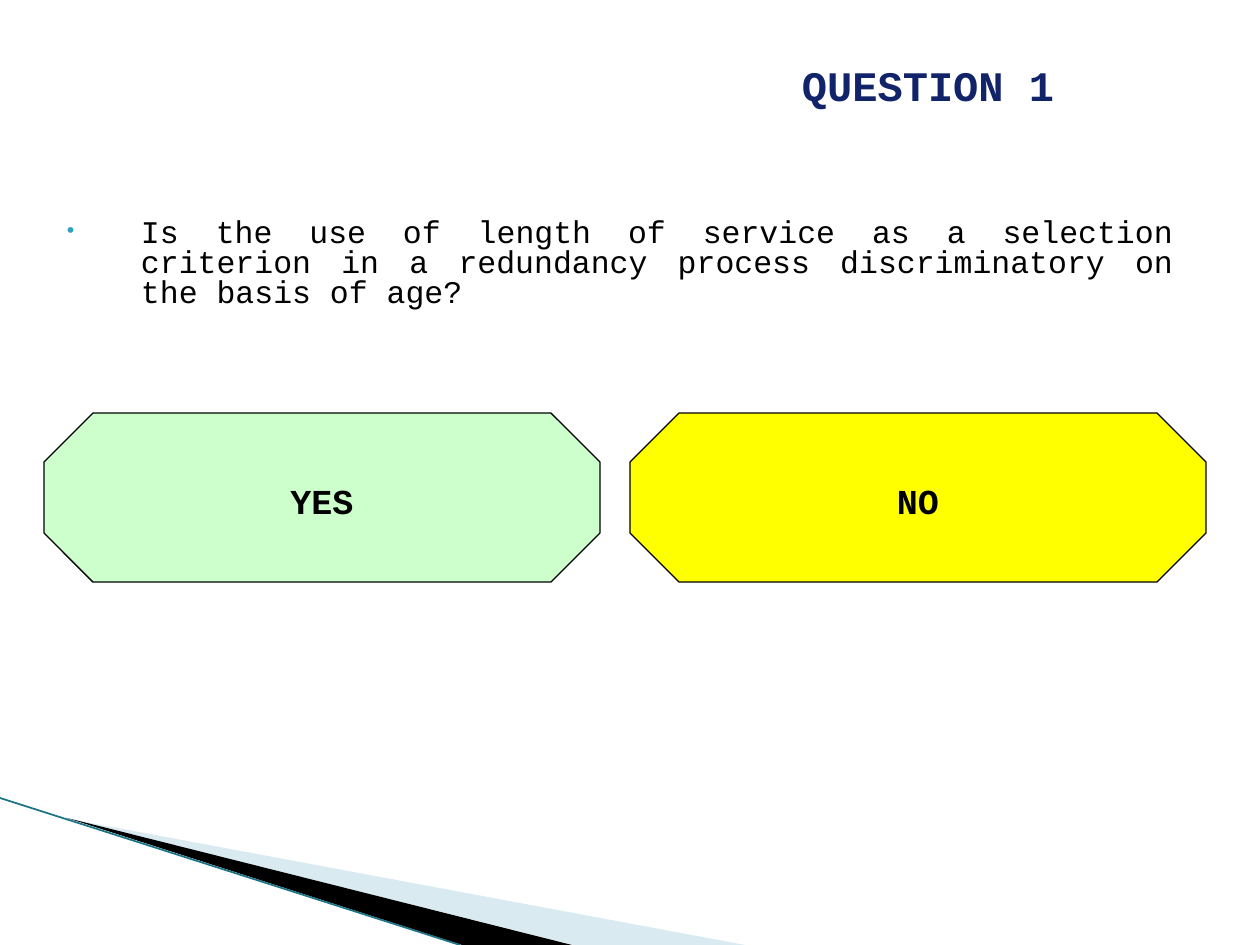
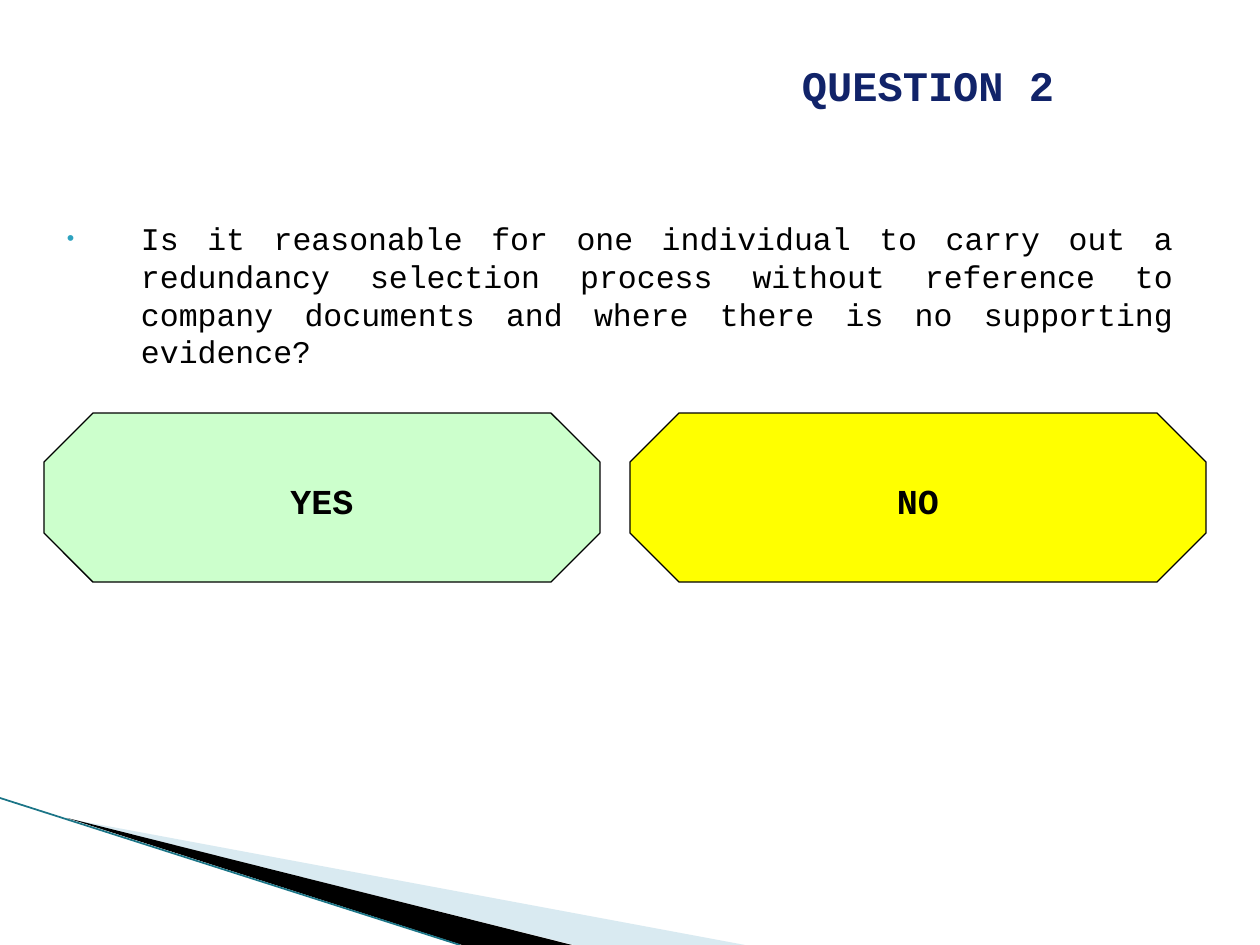
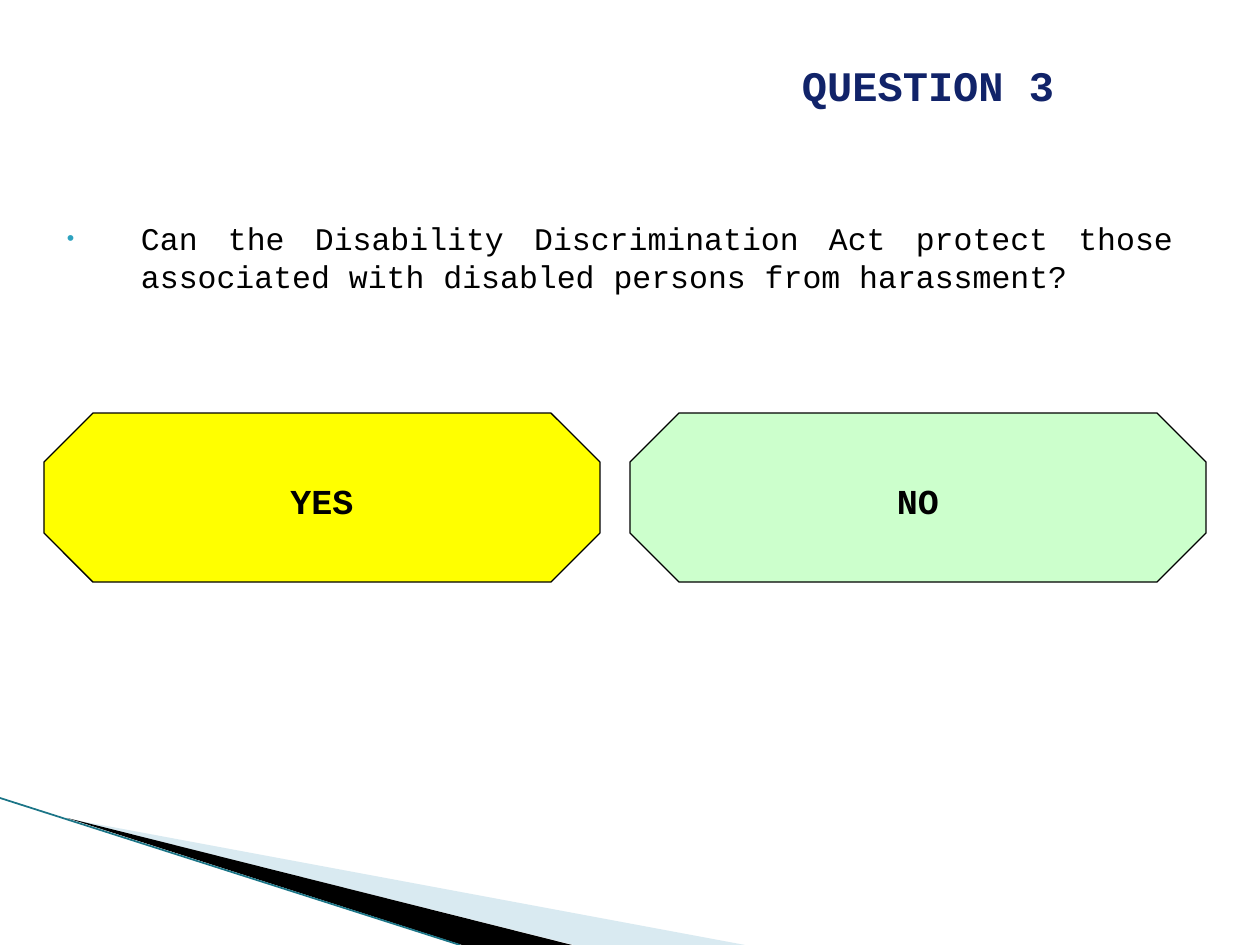
import pptx
import pptx.util
import pptx.dml.color
import pptx.enum.shapes
import pptx.enum.text
import pptx.oxml
import pptx.oxml.ns
from lxml import etree

# Content: title, question, line spacing, highlighted answer
QUESTIONS = [
    ("QUESTION 1", "Is the use of length of service as a selection criterion in a "
     "redundancy process discriminatory on the basis of age?", 0.8, "NO"),
    ("QUESTION 2", "Is it reasonable for one individual to carry out a redundancy "
     "selection process without reference to company documents and where there is "
     "no supporting evidence?", 1.0, "NO"),
    ("QUESTION 3", "Can the Disability Discrimination Act protect those associated "
     "with disabled persons from harassment?", 1.0, "YES"),
]

# Shared style, lengths in px
PX = 914400 / 126
FONT = "Courier New"
NAVY, BLACK, GREEN, YELLOW = "112369", "000000", "CCFFCC", "FFFF00"
PALE, TEAL, BULLET = "A0CBDC", "1B7587", "2DA2BF"
TITLE_BOX = (789, 45, 397, 63)
QUESTION_BOX = (54, 145, 1132, 198)
ANSWER_BOXES = {"YES": (44, 413, 556, 169), "NO": (630, 413, 576, 169)}
WEDGES = [
    (PALE, 40, [(69, 819), (745, 945), (574, 945)]),
    (BLACK, 100, [(67, 818), (572, 945), (462, 945)]),
]
EDGE = (0, 798, 460, 945)


def px(*lengths):
    return [pptx.util.Emu(round(n * PX)) for n in lengths]


def rgb(color):
    return pptx.dml.color.RGBColor.from_string(color)


def write(tf, text, size, color, bold, top, align):
    tf.text = text
    tf.auto_size = pptx.enum.text.MSO_AUTO_SIZE.NONE
    tf.margin_left, tf.margin_right, tf.margin_top, tf.margin_bottom = px(13, 13, top, 0)
    p = tf.paragraphs[0]
    p.alignment = align
    p.space_before = pptx.util.Pt(0)
    font = p.runs[0].font
    font.name, font.size, font.bold = FONT, pptx.util.Pt(size), bold
    font.color.rgb = rgb(color)
    return p


def add_bullet(p):
    pPr = p._p.get_or_add_pPr()
    indent, = px(74)
    pPr.set("marL", str(indent))
    pPr.set("indent", str(-indent))
    ns = pptx.oxml.ns.nsdecls("a")
    for xml in (f'<a:buClr {ns}><a:srgbClr val="{BULLET}"/></a:buClr>',
                f'<a:buSzPct {ns} val="68000"/>',
                f'<a:buFont {ns} typeface="Arial"/>',
                f'<a:buChar {ns} char="•"/>'):
        pPr.append(pptx.oxml.parse_xml(xml))


def decorate(layout, s):
    """Draw the corner wedges on a slide, then move them to its layout."""
    drawn = []
    for color, alpha, points in WEDGES:
        builder = s.shapes.build_freeform(*points[0], scale=PX)
        builder.add_line_segments(points[1:], close=True)
        sp = builder.convert_to_shape()
        sp.shadow.inherit = False
        sp.fill.solid()
        sp.fill.fore_color.rgb = rgb(color)
        sp.line.fill.background()
        if alpha < 100:
            clr = sp.element.spPr.find(".//" + pptx.oxml.ns.qn("a:srgbClr"))
            etree.SubElement(clr, pptx.oxml.ns.qn("a:alpha")).set("val", str(alpha * 1000))
        drawn.append(sp)
    edge = s.shapes.add_connector(pptx.enum.shapes.MSO_CONNECTOR.STRAIGHT, *px(*EDGE))
    edge.line.color.rgb = rgb(TEAL)
    edge.line.width = pptx.util.Pt(1)
    etree.SubElement(edge.element.spPr, pptx.oxml.ns.qn("a:effectLst"))
    for sp in drawn + [edge]:
        layout.shapes.element.append(sp.element)


def add_question(s, title, question, spacing, highlighted):
    align = pptx.enum.text.PP_ALIGN
    anchor = pptx.enum.text.MSO_ANCHOR

    # Title
    sp = s.shapes.title
    sp.left, sp.top, sp.width, sp.height = px(*TITLE_BOX)
    write(sp.text_frame, title, 24, NAVY, True, 15, align.LEFT)
    sp.text_frame.vertical_anchor = anchor.TOP

    # Question
    tf = s.shapes.add_textbox(*px(*QUESTION_BOX)).text_frame
    tf.word_wrap = True
    p = write(tf, question, 18, BLACK, False, 74, align.JUSTIFY)
    add_bullet(p)
    p.line_spacing = spacing

    # Answers
    for answer, box in ANSWER_BOXES.items():
        sp = s.shapes.add_shape(pptx.enum.shapes.MSO_SHAPE.OCTAGON, *px(*box))
        sp.adjustments[0] = 0.29
        sp.shadow.inherit = False
        sp.fill.solid()
        sp.fill.fore_color.rgb = rgb(YELLOW if answer == highlighted else GREEN)
        sp.line.color.rgb = rgb(BLACK)
        sp.line.width = pptx.util.Pt(0.75)
        write(sp.text_frame, answer, 20, BLACK, True, 5, align.CENTER)
        sp.text_frame.vertical_anchor = anchor.MIDDLE


def main():
    prs = pptx.Presentation()
    prs.slide_width, prs.slide_height = px(1260, 945)
    layout = prs.slide_layouts[5]
    for i, content in enumerate(QUESTIONS):
        s = prs.slides.add_slide(layout)
        if i == 0:
            decorate(layout, s)
        add_question(s, *content)
    prs.save("out.pptx")


if __name__ == "__main__":
    main()
